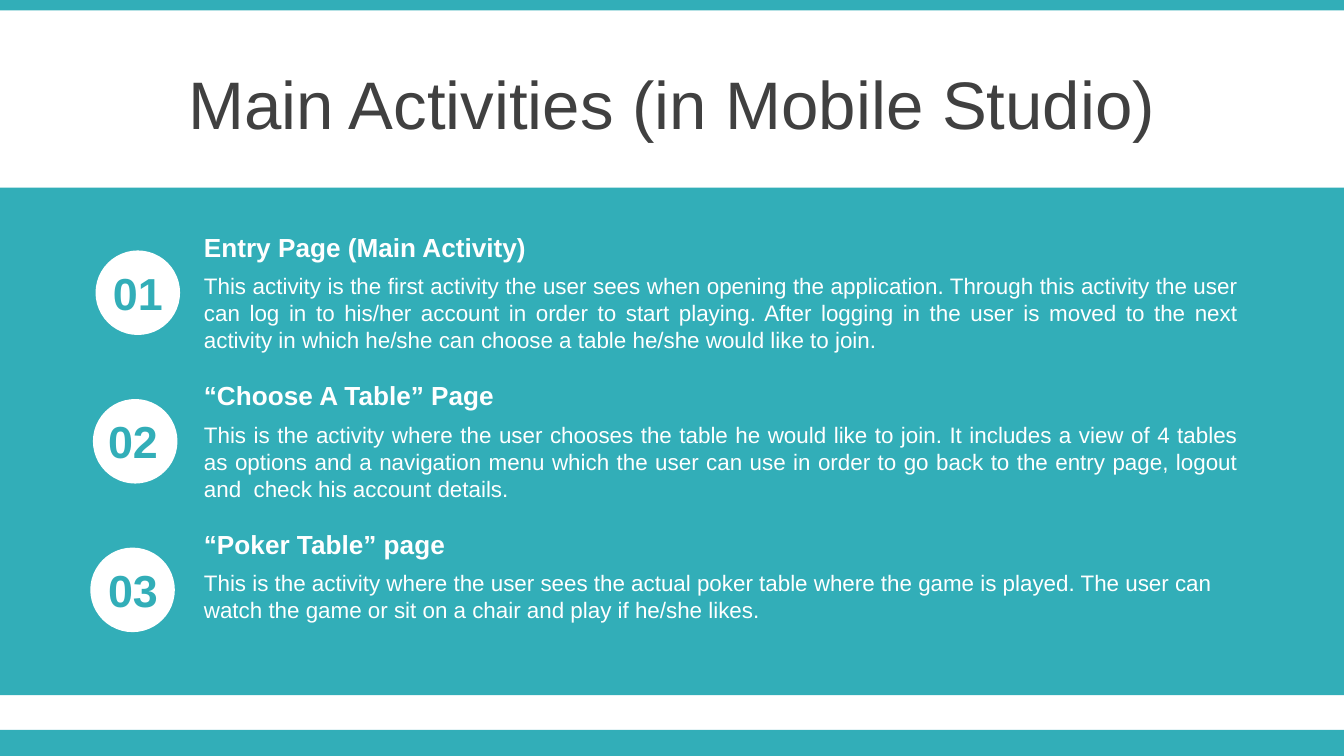
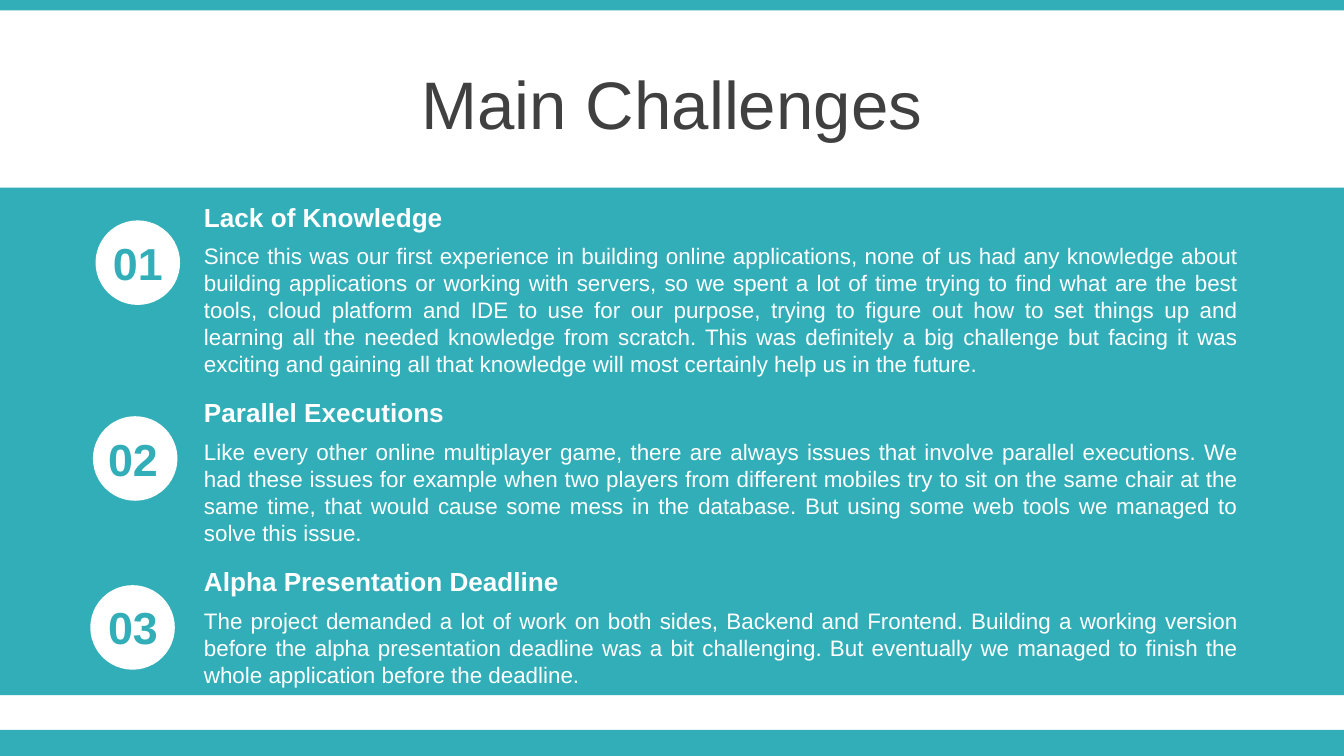
from dataclasses import dataclass

from pptx import Presentation
from pptx.dml.color import RGBColor
from pptx.enum.shapes import MSO_SHAPE
from pptx.enum.text import MSO_ANCHOR, MSO_AUTO_SIZE, PP_ALIGN
from pptx.util import Pt

RECT, OVAL = MSO_SHAPE.RECTANGLE, MSO_SHAPE.OVAL
LEFT, CENTER, JUSTIFY = PP_ALIGN.LEFT, PP_ALIGN.CENTER, PP_ALIGN.JUSTIFY
MIDDLE = MSO_ANCHOR.MIDDLE
NO_FIT, GROW = MSO_AUTO_SIZE.NONE, MSO_AUTO_SIZE.SHAPE_TO_FIT_TEXT

FONT = "Arial"
TEAL, WHITE, DARK = "32AEB8", "FFFFFF", "404040"
SLIDE_W, SLIDE_H = 720, 405
BANDS = [(391, 14), (0, 5.6), (100.5, 272)]
TITLE_ONLY = 5

TEXT_X, TEXT_W = 102.2, 568.8
HEADING_H, BODY_DY = 24.3, 22.2
LINE_H, BODY_PADDING = 14.4, 7.9
CIRCLE_X, CIRCLE_STEP, CIRCLE_DY, CIRCLE_D = 51.2, -1.4, 14, 45.3
NUMBER_LEFTS = (48.7, 46.1, 46.1)
NUMBER_DY, NUMBER_W, NUMBER_H = 18.5, 50.4, 36.3


@dataclass
class Item:
    heading: str
    body: str
    lines: int
    align: PP_ALIGN = JUSTIFY


@dataclass
class Page:
    title: str
    top: float
    gap: float
    items: list[Item]


PAGES = [
    Page("Main Activities (in Mobile Studio)", 120.2, 6.3, [
        Item("Entry Page (Main Activity)",
             "This activity is the first activity the user sees when opening the application. "
             "Through this activity the user can log in to his/her account in order to start "
             "playing. After logging in the user is moved to the next activity in which he/she "
             "can choose a table he/she would like to join.", 3),
        Item("“Choose A Table” Page",
             "This is the activity where the user chooses the table he would like to join. "
             "It includes a view of 4 tables as options and a navigation menu which the user "
             "can use in order to go back to the entry page, logout and  check his account "
             "details.", 3),
        Item("“Poker Table” page",
             "This is the activity where the user sees the actual poker table where the game "
             "is played. The user can watch the game or sit on a chair and play if he/she "
             "likes.", 2, LEFT),
    ]),
    Page("Main Challenges", 104.1, 2.8, [
        Item("Lack of Knowledge",
             "Since this was our first experience in building online applications, none of us "
             "had any knowledge about building applications or working with servers, so we "
             "spent a lot of time trying to find what are the best tools, cloud platform and "
             "IDE to use for our purpose, trying to figure out how to set things up and "
             "learning all the needed knowledge from scratch. This was definitely a big "
             "challenge but facing it was exciting and gaining all that knowledge will most "
             "certainly help us in the future.", 5),
        Item("Parallel Executions",
             "Like every other online multiplayer game, there are always issues that involve "
             "parallel executions. We had these issues for example when two players from "
             "different mobiles try to sit on the same chair at the same time, that would "
             "cause some mess in the database. But using some web tools we managed to solve "
             "this issue.", 4),
        Item("Alpha Presentation Deadline",
             "The project demanded a lot of work on both sides, Backend and Frontend. Building "
             "a working version before the alpha presentation deadline was a bit challenging. "
             "But eventually we managed to finish the whole application before the deadline.",
             3),
    ]),
]


def rgb(color: str) -> RGBColor:
    return RGBColor.from_string(color)


def write(sp, text: str, size: float, color: str, align=LEFT, bold=False) -> None:
    tf = sp.text_frame
    tf.word_wrap = True
    tf.text = text
    p = tf.paragraphs[0]
    p.alignment = align
    font = p.runs[0].font
    font.name, font.size, font.bold = FONT, Pt(size), bold
    font.color.rgb = rgb(color)


def add_text(s, x: float, y: float, w: float, h: float, text: str,
             size: float, color: str, align=LEFT, bold=False) -> None:
    sp = s.shapes.add_textbox(Pt(x), Pt(y), Pt(w), Pt(h))
    write(sp, text, size, color, align, bold)
    sp.text_frame.auto_size = GROW


def add_block(s, kind, x: float, y: float, w: float, h: float, color: str) -> None:
    sp = s.shapes.add_shape(kind, Pt(x), Pt(y), Pt(w), Pt(h))
    sp.shadow.inherit = False
    sp.fill.solid()
    sp.fill.fore_color.rgb = rgb(color)
    sp.line.fill.background()


def set_title(s, text: str) -> None:
    sp = s.shapes.title
    sp.left, sp.top, sp.width, sp.height = Pt(0), Pt(32.4), Pt(SLIDE_W), Pt(45.4)
    write(sp, text, 36, DARK, CENTER)
    sp.text_frame.vertical_anchor = MIDDLE
    sp.text_frame.auto_size = NO_FIT


def add_item(s, index: int, item: Item, y: float, body_h: float) -> None:
    add_block(s, OVAL, CIRCLE_X + index * CIRCLE_STEP, y + CIRCLE_DY,
              CIRCLE_D, CIRCLE_D, WHITE)
    add_text(s, TEXT_X, y + BODY_DY, TEXT_W, body_h, item.body, 12, WHITE, item.align)
    add_text(s, TEXT_X, y, TEXT_W, HEADING_H, item.heading, 14, WHITE, bold=True)
    add_text(s, NUMBER_LEFTS[index], y + NUMBER_DY, NUMBER_W, NUMBER_H,
             f"{index + 1:02}", 24, TEAL, CENTER, True)


def add_page(prs, page: Page) -> None:
    s = prs.slides.add_slide(prs.slide_layouts[TITLE_ONLY])
    set_title(s, page.title)
    for top, height in BANDS:
        add_block(s, RECT, 0, top, SLIDE_W, height, TEAL)
    y = page.top
    for index, item in enumerate(page.items):
        body_h = BODY_PADDING + LINE_H * item.lines
        add_item(s, index, item, y, body_h)
        y += BODY_DY + body_h + page.gap


def main() -> None:
    prs = Presentation()
    prs.slide_width, prs.slide_height = Pt(SLIDE_W), Pt(SLIDE_H)
    for page in PAGES:
        add_page(prs, page)
    prs.save("out.pptx")


if __name__ == "__main__":
    main()
